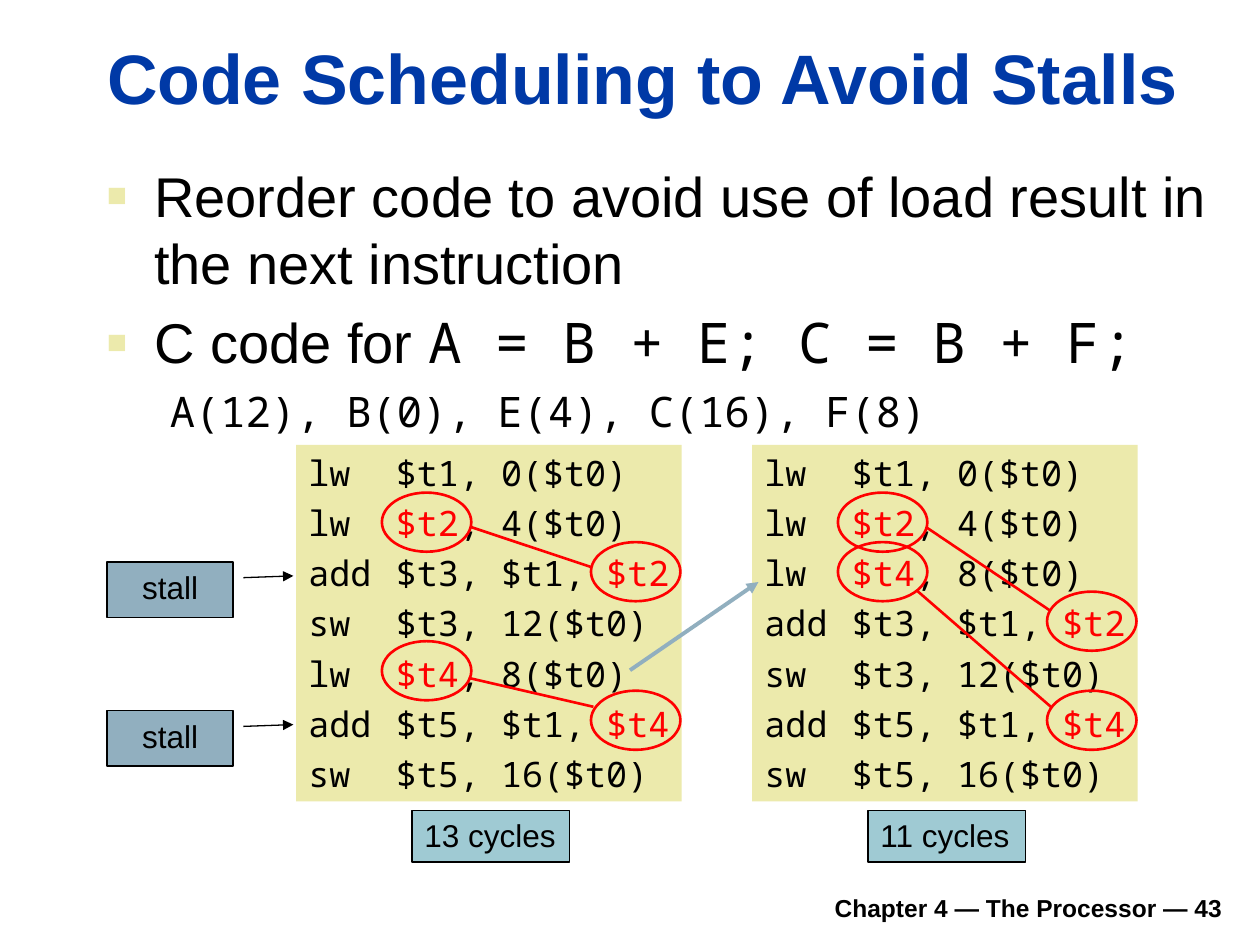
from dataclasses import dataclass

from lxml.etree import SubElement
from pptx import Presentation
from pptx.dml.color import RGBColor
from pptx.enum.shapes import MSO_CONNECTOR, MSO_SHAPE
from pptx.enum.text import MSO_ANCHOR, PP_ALIGN
from pptx.oxml.ns import qn
from pptx.util import Pt


@dataclass(frozen=True)
class Theme:
    sans: str = "Arial"
    mono: str = "Noto Sans Mono"
    black: str = "000000"
    title: str = "0039A6"
    hot: str = "FF0000"
    panel: str = "ECEAAC"
    stall: str = "91AFBF"
    cycles: str = "9FCAD3"
    title_size: float = 40
    body_size: float = 32
    address_size: float = 24
    code_size: float = 20
    label_size: float = 18
    footer_size: float = 14


@dataclass(frozen=True)
class Instruction:
    text: str
    hot: str = ""  # register involved in a load-use dependency


@dataclass(frozen=True)
class Panel:
    x: float
    code: tuple[Instruction, ...]
    cycles: str


@dataclass(frozen=True)
class Link:
    x1: float
    y1: float
    x2: float
    y2: float


T = Theme()
PANEL_Y, PANEL_W, PANEL_H = 254.2, 220.3, 203.8
ROW_PITCH, OVAL_Y = 28.3, 253.2
OVAL_W, OVAL_H = 51.1, 33.8
TARGET_DX, SOURCE_DX = 49, 168.5

LOAD_B = Instruction("lw\t$t1, 0($t0)")
LOAD_E = Instruction("lw\t$t2, 4($t0)", "$t2")
LOAD_F = Instruction("lw\t$t4, 8($t0)", "$t4")
ADD_A = Instruction("add\t$t3, $t1, $t2", "$t2")
ADD_C = Instruction("add\t$t5, $t1, $t4", "$t4")
STORE_A = Instruction("sw\t$t3, 12($t0)")
STORE_C = Instruction("sw\t$t5, 16($t0)")

PANELS = (
    Panel(169.2, (LOAD_B, LOAD_E, ADD_A, STORE_A, LOAD_F, ADD_C, STORE_C), "13 cycles"),
    Panel(429.8, (LOAD_B, LOAD_E, LOAD_F, ADD_A, STORE_A, ADD_C, STORE_C), "11 cycles"),
)
DEPENDENCIES = (
    Link(268.6, 301, 337.7, 324),
    Link(267.8, 387.4, 339.1, 403.9),
    Link(529.9, 301.7, 600.5, 349.2),
    Link(524.2, 337.7, 600.5, 403.9),
)
MOVED_LOAD = Link(360, 383, 433.4, 332.6)
STALL_YS = (321.1, 406.1)


def rgb(value: str) -> RGBColor:
    return RGBColor.from_string(value)


def add_run(p, text: str, size: float, font: str = T.sans,
            color: str = T.black, bold: bool = False) -> None:
    r = p.add_run()
    r.text = text
    r.font.name, r.font.size, r.font.bold = font, Pt(size), bold
    r.font.color.rgb = rgb(color)


def add_arrowhead(sp) -> None:
    SubElement(sp.line._get_or_add_ln(), qn("a:tailEnd"), type="triangle")


def add_bullet(p) -> None:
    pPr = p._p.get_or_add_pPr()
    pPr.set("marL", str(Pt(27)))
    pPr.set("indent", str(Pt(-27)))
    SubElement(SubElement(pPr, qn("a:buClr")), qn("a:srgbClr"), val=T.panel)
    SubElement(pPr, qn("a:buSzPct"), val="60000")
    SubElement(pPr, qn("a:buFont"), typeface=T.sans)
    SubElement(pPr, qn("a:buChar"), char="■")


def add_box(s, kind: MSO_SHAPE, x: float, y: float, w: float, h: float,
            fill: str = "", line: str = "", weight: float = 0.75):
    sp = s.shapes.add_shape(kind, Pt(x), Pt(y), Pt(w), Pt(h))
    sp.shadow.inherit = False
    if fill:
        sp.fill.solid()
        sp.fill.fore_color.rgb = rgb(fill)
    else:
        sp.fill.background()
    if line:
        sp.line.color.rgb, sp.line.width = rgb(line), Pt(weight)
    else:
        sp.line.fill.background()
    return sp


def add_label(sp, text: str, align: PP_ALIGN, wrap: bool) -> None:
    tf = sp.text_frame
    tf.word_wrap, tf.vertical_anchor = wrap, MSO_ANCHOR.TOP
    p = tf.paragraphs[0]
    p.alignment = align
    add_run(p, text, T.label_size)


def add_link(s, link: Link, color: str, weight: float):
    sp = s.shapes.add_connector(MSO_CONNECTOR.STRAIGHT, Pt(link.x1), Pt(link.y1),
                                Pt(link.x2), Pt(link.y2))
    sp.line.color.rgb, sp.line.width = rgb(color), Pt(weight)
    SubElement(sp._element.spPr, qn("a:effectLst"))
    return sp


def add_text(s, x: float, y: float, w: float, h: float):
    tf = s.shapes.add_textbox(Pt(x), Pt(y), Pt(w), Pt(h)).text_frame
    tf.word_wrap = True
    return tf


def add_panel(s, panel: Panel) -> None:
    sp = add_box(s, MSO_SHAPE.RECTANGLE, panel.x, PANEL_Y, PANEL_W, PANEL_H, T.panel)
    tf = sp.text_frame
    tf.word_wrap, tf.vertical_anchor = False, MSO_ANCHOR.TOP
    for row, line in enumerate(panel.code):
        p = tf.add_paragraph() if row else tf.paragraphs[0]
        p.alignment = PP_ALIGN.LEFT
        if row:
            p.space_before = Pt(4.7)
        tabs = SubElement(p._p.get_or_add_pPr(), qn("a:tabLst"))
        SubElement(tabs, qn("a:tab"), pos=str(Pt(50)), algn="l")
        parts = line.text.partition(line.hot) if line.hot else (line.text,)
        for part in filter(None, parts):
            add_run(p, part, T.code_size, T.mono, T.hot if part == line.hot else T.black)
    sp = add_box(s, MSO_SHAPE.RECTANGLE, panel.x + 66.2, 463, 90, 29.5, T.cycles, T.black)
    add_label(sp, panel.cycles, PP_ALIGN.LEFT, False)


def add_ovals(s, panel: Panel) -> None:
    for row, line in enumerate(panel.code):
        if line.hot:
            dx = TARGET_DX if line.text.startswith("lw") else SOURCE_DX
            add_box(s, MSO_SHAPE.OVAL, panel.x + dx, OVAL_Y + row * ROW_PITCH,
                    OVAL_W, OVAL_H, line=T.hot, weight=1.5)


def add_stall(s, y: float) -> None:
    sp = add_box(s, MSO_SHAPE.LINE_CALLOUT_1, 61.2, y, 72, 31.7, T.stall, T.black)
    for i, value in enumerate((0.285, 1.083, 0.253, 1.479)):
        sp.adjustments[i] = value
    add_arrowhead(sp)
    add_label(sp, "stall", PP_ALIGN.CENTER, True)


def main() -> None:
    prs = Presentation()
    prs.slide_width, prs.slide_height = Pt(720), Pt(540)
    s = prs.slides.add_slide(prs.slide_layouts[5])

    # Title
    sp = s.shapes.title
    sp.left, sp.top, sp.width, sp.height = Pt(54), Pt(11.5), Pt(650), Pt(59.8)
    tf = sp.text_frame
    tf.vertical_anchor = MSO_ANCHOR.BOTTOM
    tf.paragraphs[0].alignment = PP_ALIGN.LEFT
    add_run(tf.paragraphs[0], "Code Scheduling to Avoid Stalls", T.title_size,
            color=T.title, bold=True)

    # Bullets and memory offsets
    tf = add_text(s, 54, 88.6, 651.6, 145.4)
    p = tf.paragraphs[0]
    add_bullet(p)
    add_run(p, "Reorder code to avoid use of load result in the next instruction", T.body_size)
    p = tf.add_paragraph()
    p.space_before = Pt(7)
    add_bullet(p)
    add_run(p, "C code for ", T.body_size)
    add_run(p, "A = B + E; C = B + F;", T.body_size, T.mono)
    p = tf.add_paragraph()
    p.space_before = Pt(5.6)
    add_run(p, "\tA(12), B(0), E(4), C(16), F(8)", T.address_size, T.mono)

    # Code before and after scheduling
    for panel in PANELS:
        add_panel(s, panel)
    for y in STALL_YS:
        add_stall(s, y)
    add_arrowhead(add_link(s, MOVED_LOAD, T.stall, 2.25))

    # Load-use dependencies
    for panel in PANELS:
        add_ovals(s, panel)
    for link in DEPENDENCIES:
        add_link(s, link, T.hot, 1.5)

    # Footer
    tf = add_text(s, 133.2, 502.6, 572.4, 28)
    tf.vertical_anchor = MSO_ANCHOR.BOTTOM
    tf.paragraphs[0].alignment = PP_ALIGN.RIGHT
    add_run(tf.paragraphs[0], "Chapter 4 — The Processor — 43", T.footer_size, bold=True)

    prs.save("out.pptx")


if __name__ == "__main__":
    main()
